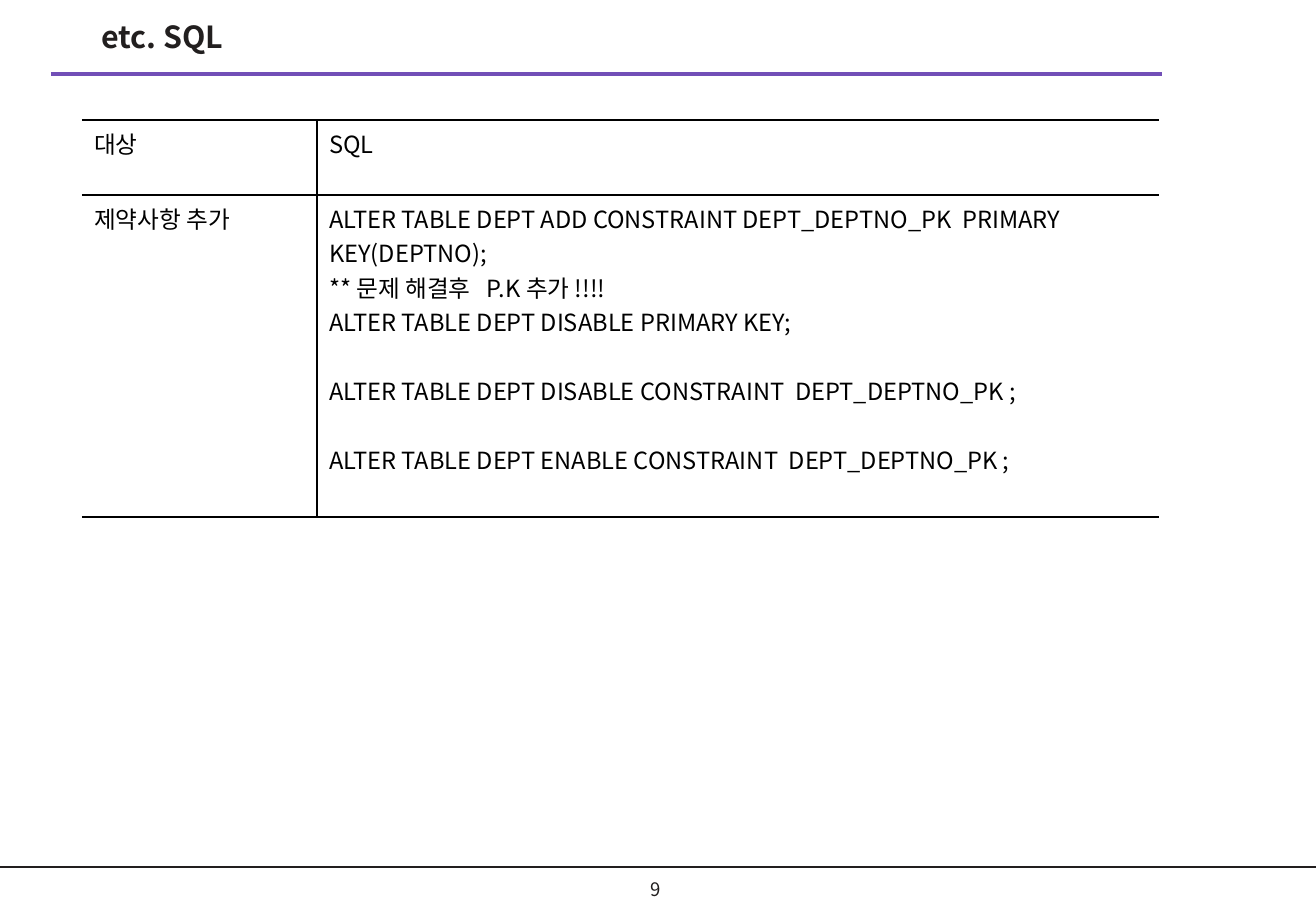
import pptx
import pptx.dml.color
import pptx.enum.shapes
import pptx.enum.text
import pptx.oxml.ns
import pptx.util
from lxml import etree

SCALE = 914400 / 121.5  # EMU in one px
FONT = "Noto Sans CJK KR"
INK, BLACK, PURPLE = "221F1F", "000000", "724FB7"
LINE_HEIGHT = 20.3  # points, one line of 14 pt text

TABLE_ROWS = [
    ["대상", "SQL"],
    ["제약사항 추가", "\n".join([
        "ALTER TABLE DEPT ADD CONSTRAINT DEPT_DEPTNO_PK  PRIMARY KEY(DEPTNO);",
        "** 문제 해결후   P.K 추가 !!!!",
        "ALTER TABLE DEPT DISABLE PRIMARY KEY;",
        "ALTER TABLE DEPT DISABLE CONSTRAINT  DEPT_DEPTNO_PK ;",
        "ALTER TABLE DEPT ENABLE CONSTRAINT  DEPT_DEPTNO_PK ;",
    ])],
]


def px(length):
    return pptx.util.Emu(round(length * SCALE))


def color(value):
    return pptx.dml.color.RGBColor.from_string(value)


def add_child(parent, tag, **attributes):
    return etree.SubElement(parent, pptx.oxml.ns.qn(tag), attributes)


class Page:
    def __init__(self, deck):
        self.slide = deck.slides.add_slide(deck.slide_layouts[5])
        self.shapes = self.slide.shapes

    def style(self, frame, size, ink, bold=False):
        for para in frame.paragraphs:
            for span in para.runs:
                span.font.name = FONT
                span.font.size = pptx.util.Pt(size)
                span.font.bold = bold
                span.font.color.rgb = color(ink)
                add_child(span.font._element, "a:ea", typeface=FONT)

    def title(self, text, left, top, width, height):
        box = self.shapes.title
        box.left, box.top, box.width, box.height = map(px, (left, top, width, height))
        frame = box.text_frame
        frame.text = text
        frame.margin_top = px(1)
        frame.vertical_anchor = pptx.enum.text.MSO_ANCHOR.TOP
        frame.auto_size = pptx.enum.text.MSO_AUTO_SIZE.NONE
        frame.paragraphs[0].alignment = pptx.enum.text.PP_ALIGN.LEFT
        self.style(frame, 18, INK, bold=True)

    def rule(self, left, right, top, ink, weight):
        line = self.shapes.add_connector(
            pptx.enum.shapes.MSO_CONNECTOR.STRAIGHT, px(left), px(top), px(right), px(top))
        line.line.color.rgb = color(ink)
        line.line.width = pptx.util.Pt(weight)
        add_child(line._element.spPr, "a:effectLst")

    def label(self, text, left, top, width, height, size):
        box = self.shapes.add_textbox(px(left), px(top), px(width), px(height))
        frame = box.text_frame
        frame.text = text
        frame.word_wrap = True
        frame.vertical_anchor = pptx.enum.text.MSO_ANCHOR.MIDDLE
        frame.paragraphs[0].alignment = pptx.enum.text.PP_ALIGN.CENTER
        self.style(frame, size, INK)

    def borders(self, cell, drawn):
        properties = cell._tc.get_or_add_tcPr()
        for side in "LRTB":
            line = add_child(properties, f"a:ln{side}", w=str(pptx.util.Pt(1)))
            if side in drawn:
                fill = add_child(line, "a:solidFill")
                add_child(fill, "a:srgbClr", val=BLACK)
            else:
                add_child(line, "a:noFill")

    def table(self, rows, left, top, widths, heights):
        grid = self.shapes.add_table(
            len(rows), len(widths), px(left), px(top),
            px(sum(widths)), px(sum(heights))).table
        grid.first_row = grid.horz_banding = False
        for column, width in zip(grid.columns, widths):
            column.width = px(width)
        for row, height in zip(grid.rows, heights):
            row.height = px(height)
        for row, texts in zip(grid.rows, rows):
            for cell, text, inner_side in zip(row.cells, texts, "RL"):
                self.borders(cell, "TB" + inner_side)
                cell.fill.background()
                cell.text_frame.text = text
                self.style(cell.text_frame, 14, BLACK)
        return grid


def main():
    deck = pptx.Presentation()
    deck.slide_width = pptx.util.Inches(10.83)
    deck.slide_height = pptx.util.Inches(7.5)
    page = Page(deck)

    # Header
    page.rule(51, 1162, 74, PURPLE, 2.25)
    page.title("etc. SQL", 89, 17, 674, 58)

    # Statement table, with the last two statements set apart
    grid = page.table(TABLE_ROWS, 82, 120, widths=(235, 842), heights=(75, 322))
    for para in grid.cell(1, 1).text_frame.paragraphs[-2:]:
        para.space_before = pptx.util.Pt(LINE_HEIGHT)

    # Footer
    page.rule(0, 1316, 867, INK, 1)
    page.label("9", 619, 869, 74, 40, size=11)

    deck.save("out.pptx")


if __name__ == "__main__":
    main()
